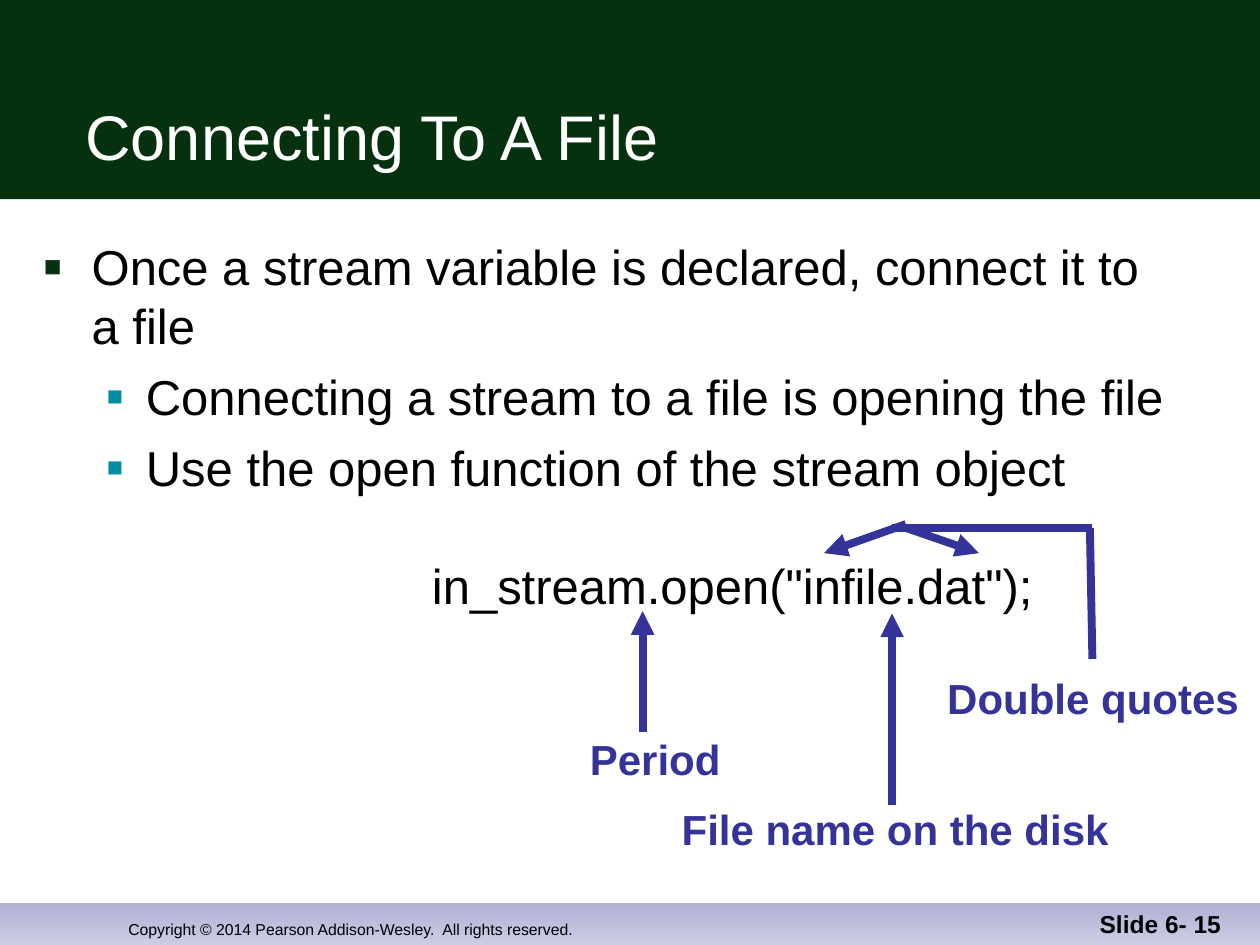
from lxml import etree
from pptx import Presentation
from pptx.dml.color import RGBColor
from pptx.enum.shapes import MSO_CONNECTOR, MSO_SHAPE
from pptx.enum.text import MSO_ANCHOR, PP_ALIGN
from pptx.oxml.ns import qn
from pptx.util import Inches, Pt

STRAIGHT, RECT = MSO_CONNECTOR.STRAIGHT, MSO_SHAPE.RECTANGLE
TOP, BOTTOM = MSO_ANCHOR.TOP, MSO_ANCHOR.BOTTOM
LEFT, CENTER, RIGHT = PP_ALIGN.LEFT, PP_ALIGN.CENTER, PP_ALIGN.RIGHT

GREEN = RGBColor(0x05, 0x31, 0x0F)
TEAL = RGBColor(0x02, 0x8D, 0xA0)
INDIGO = RGBColor(0x33, 0x33, 0x99)
LAVENDER = RGBColor(0xB0, 0xB1, 0xD5)
PALE = RGBColor(0xCC, 0xCD, 0xE3)
BLACK = RGBColor(0, 0, 0)
WHITE = RGBColor(0xFF, 0xFF, 0xFF)


def write(p, text, size=28, color=BLACK, bold=False, align=LEFT):
    p.text = text
    p.alignment = align
    for r in p.runs:
        r.font.name = "Arial"
        r.font.size = Pt(size)
        r.font.bold = bold
        r.font.color.rgb = color


def add_text(shapes, box, text="", anchor=TOP, wrap=True, **fmt):
    tf = shapes.add_textbox(*map(Inches, box)).text_frame
    tf.word_wrap = wrap
    tf.vertical_anchor = anchor
    write(tf.paragraphs[0], text, **fmt)
    return tf


def add_bar(shapes, box):
    sp = shapes.add_shape(RECT, *map(Inches, box))
    sp.shadow.inherit = False
    sp.line.fill.background()
    return sp


def add_line(shapes, start, end, arrow=False):
    line = shapes.add_connector(STRAIGHT, *map(Inches, start + end))
    line.line.color.rgb = INDIGO
    line.line.width = Pt(4.5)
    if arrow:
        ln = line.line._get_or_add_ln()
        etree.SubElement(ln, qn("a:tailEnd"), type="triangle")
    etree.SubElement(line._element.spPr, qn("a:effectLst"))


def set_indent(p, margin, hanging=0, color=None, percent=100):
    """Indent a paragraph, with a square bullet when a colour is given."""
    pPr = p._p.get_or_add_pPr()
    pPr.set("marL", str(Inches(margin)))
    pPr.set("indent", str(-Inches(hanging)))
    if color is None:
        etree.SubElement(pPr, qn("a:buNone"))
        return
    clr = etree.SubElement(pPr, qn("a:buClr"))
    etree.SubElement(clr, qn("a:srgbClr"), val=str(color))
    etree.SubElement(pPr, qn("a:buSzPct"), val=str(percent * 1000))
    etree.SubElement(pPr, qn("a:buFont"), typeface="Arial")
    etree.SubElement(pPr, qn("a:buChar"), char="■")


def add_header(s, x, y, w, h):
    sp = add_bar(s.shapes, (x, y, w, h))
    sp.fill.solid()
    sp.fill.fore_color.rgb = GREEN
    add_text(s.shapes, (x + 0.58, y + 0.33, w - 0.92, h - 0.49),
             "Connecting To A File", anchor=BOTTOM, size=36, color=WHITE)


def add_footer(s, x, y, w, h):
    fill = add_bar(s.shapes, (x, y, w, h)).fill
    fill.gradient()
    fill.gradient_angle = 270
    for stop, color in zip(fill.gradient_stops, (LAVENDER, PALE)):
        stop.color.rgb = color
    top = y + h - 0.5
    add_text(s.shapes, (x + 0.92, top, 4.92, 0.5),
             "Copyright © 2014 Pearson Addison-Wesley.  All rights reserved.",
             anchor=BOTTOM, size=9)
    add_text(s.shapes, (x + w - 2.29, top, 2.08, 0.5), "Slide 6- 15",
             anchor=BOTTOM, size=14, bold=True, align=RIGHT)


def add_body(s, x, y, w, h):
    main_item = dict(margin=0.38, hanging=0.38, color=GREEN, percent=60)
    sub_item = dict(margin=0.81, hanging=0.31, color=TEAL, percent=55)
    code = dict(margin=3.08)
    rows = [
        ("Once a stream variable is declared, connect it to\va file",
         main_item, 0),
        ("Connecting a stream to a file is opening the file", sub_item, 7),
        ("Use the open function of the stream object", sub_item, 7),
        ('in_stream.open("infile.dat");', code, 33.5),
    ]
    tf = add_text(s.shapes, (x, y, w, h))
    tf.margin_right = 0
    for i, (text, indent, before) in enumerate(rows):
        p = tf.add_paragraph() if i else tf.paragraphs[0]
        write(p, text)
        p.space_before = Pt(before)
        set_indent(p, **indent)


def add_callout(s, box, text, lines):
    """Group a label with its lines, each given as start, end, arrow."""
    shapes = s.shapes.add_group_shape().shapes
    add_text(shapes, box, text, wrap=False, size=24, color=INDIGO,
             bold=True, align=CENTER)
    for start, end, arrow in lines:
        add_line(shapes, start, end, arrow)


def main():
    prs = Presentation()
    prs.slide_width, prs.slide_height = Inches(10), Inches(7.5)
    s = prs.slides.add_slide(prs.slide_layouts[6])

    add_footer(s, 0, 7.17, 10, 0.33)
    add_header(s, 0, 0, 10, 1.58)
    add_body(s, 0.25, 1.83, 9.07, 5)

    # Callouts on the parts of the code line
    add_callout(s, (4.53, 5.77, 1.34, 0.5), "Period",
                [((5.1, 5.81), (5.1, 4.85), True)])
    add_callout(s, (5.26, 6.33, 3.69, 0.5), "File name on the disk",
                [((7.08, 6.39), (7.08, 4.87), True)])
    add_callout(s, (7.37, 5.29, 2.61, 0.5), "Double quotes",
                [((8.67, 5.23), (8.65, 4.19), False),
                 ((8.67, 4.19), (7.08, 4.19), False),
                 ((7.19, 4.16), (6.54, 4.39), True),
                 ((7.19, 4.19), (7.77, 4.39), True)])

    prs.save("out.pptx")


if __name__ == "__main__":
    main()
